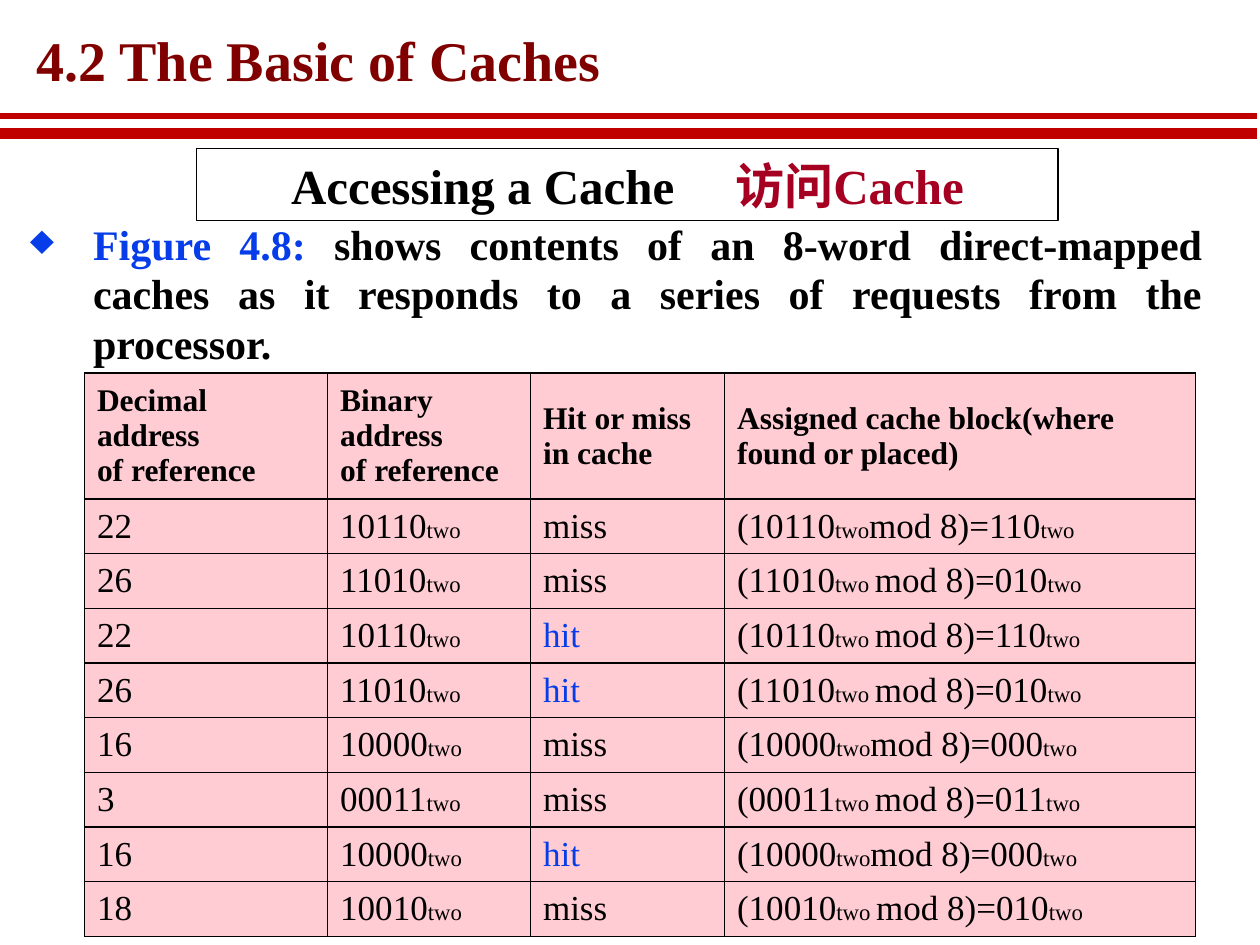
import pptx
import pptx.util
import pptx.dml.color
import pptx.enum.shapes
import pptx.enum.text
import pptx.oxml
import pptx.oxml.ns
from pptx.util import Inches, Pt

RGBColor = pptx.dml.color.RGBColor
ALIGN = pptx.enum.text.PP_ALIGN
ANCHOR = pptx.enum.text.MSO_ANCHOR

FONT = "Times New Roman"
BLACK = RGBColor(0x00, 0x00, 0x00)
MAROON = RGBColor(0x80, 0x00, 0x00)
RED = RGBColor(0xC0, 0x00, 0x00)
CRIMSON = RGBColor(0xA5, 0x00, 0x21)
BLUE = RGBColor(0x06, 0x3D, 0xE8)
PINK = RGBColor(0xFF, 0xCC, 0xD4)

HEADERS = [
    "Decimal address\vof reference",
    "Binary address\vof reference",
    "Hit or miss\vin cache",
    "Assigned cache block(where\vfound or placed)",
]
REQUESTS = [
    ("22", "10110", "miss", "two"),
    ("26", "11010", "miss", "two "),
    ("22", "10110", "hit", "two "),
    ("26", "11010", "hit", "two "),
    ("16", "10000", "miss", "two"),
    ("3", "00011", "miss", "two "),
    ("16", "10000", "hit", "two"),
    ("18", "10010", "miss", "two "),
]
COLUMN_WIDTHS = [1.93, 1.61, 1.54, 3.74]
TABLE_HEIGHT = 4.47
HEADER_HEIGHT = 1.0


def style(font, size=None, color=None, bold=None):
    """Apply the slide font with the given size, colour and weight."""
    font.name = FONT
    if size:
        font.size = Pt(size)
    if color is not None:
        font.color.rgb = color
    if bold is not None:
        font.bold = bold


def add_run(p, text, size=None, color=None, bold=None):
    """Append a formatted run to a paragraph."""
    r = p.add_run()
    r.text = text
    style(r.font, size, color, bold)
    return r


def add_xml(parent, xml):
    """Append a DrawingML element given as a string."""
    ns = pptx.oxml.ns.nsdecls("a")
    parent.append(pptx.oxml.parse_xml(xml.replace("NS", ns, 1)))


def add_title(s, text):
    """Place and format the title placeholder."""
    sp = s.shapes.title
    sp.left, sp.top, sp.width, sp.height = map(Inches, (0.22, 0.25, 4.67, 0.52))
    tf = sp.text_frame
    tf.word_wrap = False
    tf.vertical_anchor = ANCHOR.MIDDLE
    tf.margin_left = tf.margin_right = Inches(0.07)
    tf.margin_top = tf.margin_bottom = Inches(0.03)
    p = tf.paragraphs[0]
    p.text = text
    p.alignment = ALIGN.LEFT
    p.line_spacing = 0.87
    style(p.font, 32, MAROON, True)


def add_rule(s, y, weight):
    """Draw a full-width horizontal rule."""
    line = s.shapes.add_connector(
        pptx.enum.shapes.MSO_CONNECTOR.STRAIGHT,
        Inches(-0.02), Inches(y), Inches(9.98), Inches(y))
    line.line.color.rgb = RED
    line.line.width = Pt(weight)
    add_xml(line._element.spPr, "<a:effectLst NS/>")


def add_bullet(s):
    """Add the justified bullet that introduces the figure."""
    sp = s.shapes.add_textbox(Inches(0.14), Inches(1.7), Inches(9.5), Inches(1.67))
    tf = sp.text_frame
    tf.word_wrap = True
    p = tf.paragraphs[0]
    p.alignment = ALIGN.JUSTIFY
    p.line_spacing = Pt(28)
    pPr = p._p.get_or_add_pPr()
    pPr.set("marL", str(Inches(0.5)))
    pPr.set("indent", str(Inches(-0.5)))
    add_xml(pPr, '<a:buChar NS char="♦"/>')
    add_run(p, "Figure 4.8: ", 24, BLUE, True)
    add_run(p, "shows contents of an 8-word direct-mapped caches as it responds "
               "to a series of requests from the processor.", 24, BLACK, True)


def add_heading(s):
    """Add the outlined bilingual heading."""
    sp = s.shapes.add_shape(
        pptx.enum.shapes.MSO_SHAPE.RECTANGLE,
        Inches(1.56), Inches(1.18), Inches(6.84), Inches(0.57))
    sp.shadow.inherit = False
    sp.fill.background()
    sp.line.color.rgb = BLACK
    sp.line.width = Pt(1)
    tf = sp.text_frame
    tf.vertical_anchor = ANCHOR.MIDDLE
    p = tf.paragraphs[0]
    p.alignment = ALIGN.CENTER
    add_run(p, "Accessing a Cache", 28, BLACK, True)
    gap = add_run(p, " ", 28, BLACK, True)
    gap._r.get_or_add_rPr().set("spc", "2800")
    add_run(p, "访问Cache", 28, CRIMSON, True)


def format_cell(cell):
    """Give a cell its fill, borders and vertical centring."""
    cell.vertical_anchor = ANCHOR.MIDDLE
    tcPr = cell._tc.get_or_add_tcPr()
    for side in ("lnL", "lnR", "lnT", "lnB"):
        add_xml(tcPr, f'<a:{side} NS w="{Pt(1)}"><a:solidFill>'
                      f'<a:srgbClr val="{BLACK}"/></a:solidFill></a:{side}>')
    cell.fill.solid()
    cell.fill.fore_color.rgb = PINK


def fill_request(cells, decimal, binary, result, base):
    """Write one memory request with its small base labels."""
    block = binary[-3:]
    contents = [
        [decimal],
        [binary, "two"],
        [result],
        ["(" + binary, base, "mod 8)=" + block, "two"],
    ]
    for cell, parts in zip(cells, contents):
        color = BLUE if parts == ["hit"] else BLACK
        for i, text in enumerate(parts):
            size = 13 if i % 2 else 20
            add_run(cell.text_frame.paragraphs[0], text, size, color, False)


def add_cache_table(s):
    """Build the table of cache requests."""
    table = s.shapes.add_table(
        len(REQUESTS) + 1, len(HEADERS), Inches(0.67), Inches(2.96),
        Inches(sum(COLUMN_WIDTHS)), Inches(TABLE_HEIGHT)).table
    table.first_row = table.horz_banding = False
    for column, width in zip(table.columns, COLUMN_WIDTHS):
        column.width = Inches(width)
    for row in table.rows:
        row.height = Inches((TABLE_HEIGHT - HEADER_HEIGHT) / len(REQUESTS))
    table.rows[0].height = Inches(HEADER_HEIGHT)
    for cell in table.iter_cells():
        format_cell(cell)
    for cell, text in zip(table.rows[0].cells, HEADERS):
        p = cell.text_frame.paragraphs[0]
        p.text = text
        for r in p.runs:
            style(r.font, 18, BLACK, True)
    for i, request in enumerate(REQUESTS, 1):
        fill_request(table.rows[i].cells, *request)


def main():
    """Build and save the slide."""
    prs = pptx.Presentation()
    prs.slide_width, prs.slide_height = Inches(10), Inches(7.5)
    s = prs.slides.add_slide(prs.slide_layouts[5])
    add_title(s, "4.2 The Basic of Caches")
    add_rule(s, 1.06, 6)
    add_rule(s, 0.92, 3)
    add_bullet(s)
    add_heading(s)
    add_cache_table(s)
    prs.save("out.pptx")


if __name__ == "__main__":
    main()
